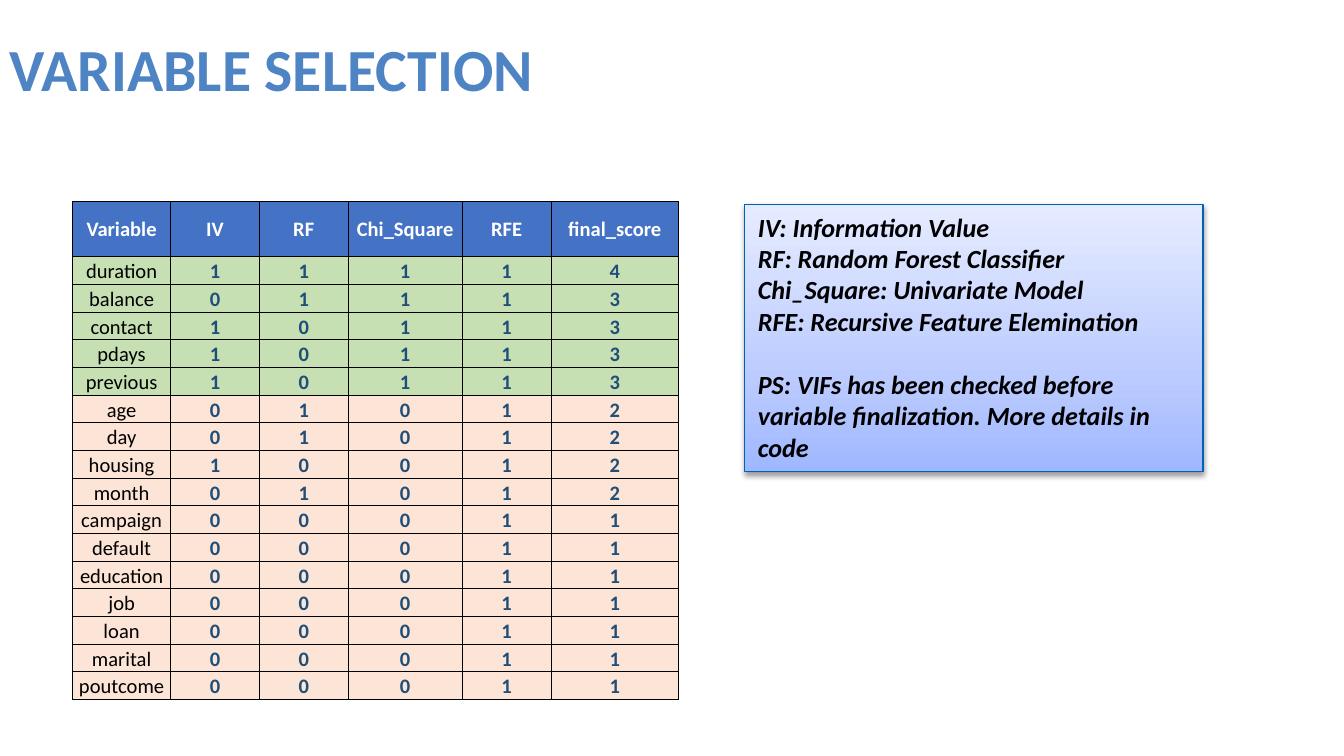
from typing import NamedTuple

from lxml.etree import SubElement
from pptx import Presentation
from pptx.dml.color import RGBColor
from pptx.enum.shapes import MSO_SHAPE
from pptx.enum.text import MSO_ANCHOR, PP_ALIGN
from pptx.oxml import parse_xml
from pptx.oxml.ns import nsdecls, qn
from pptx.util import Inches, Pt

FONT = "Calibri"
BLACK, WHITE, NAVY = "000000", "FFFFFF", "1F4E78"
HEADER_BLUE, SELECTED_GREEN, REJECTED_PEACH = "4472C4", "C6E0B4", "FCE4D6"
SELECTION_SCORE = 3


class Variable(NamedTuple):
    name: str
    iv: int
    rf: int
    chi_square: int
    rfe: int

    @property
    def score(self) -> int:
        return sum(self[1:])


HEADINGS = ["Variable", "IV", "RF", "Chi_Square", "RFE", "final_score"]
COLUMN_WIDTHS = [0.73, 0.66, 0.66, 0.85, 0.66, 0.95]
HEADER_HEIGHT, TABLE_HEIGHT = 0.41, 3.71
VARIABLES = [
    Variable("duration", 1, 1, 1, 1),
    Variable("balance", 0, 1, 1, 1),
    Variable("contact", 1, 0, 1, 1),
    Variable("pdays", 1, 0, 1, 1),
    Variable("previous", 1, 0, 1, 1),
    Variable("age", 0, 1, 0, 1),
    Variable("day", 0, 1, 0, 1),
    Variable("housing", 1, 0, 0, 1),
    Variable("month", 0, 1, 0, 1),
    Variable("campaign", 0, 0, 0, 1),
    Variable("default", 0, 0, 0, 1),
    Variable("education", 0, 0, 0, 1),
    Variable("job", 0, 0, 0, 1),
    Variable("loan", 0, 0, 0, 1),
    Variable("marital", 0, 0, 0, 1),
    Variable("poutcome", 0, 0, 0, 1),
]
NOTES = [
    "IV: Information Value",
    "RF: Random Forest Classifier",
    "Chi_Square: Univariate Model",
    "RFE: Recursive Feature Elemination",
    "PS: VIFs has been checked before variable finalization. More details in code",
]
GRADIENT = [(0, "9FB7FF"), (35, "BBCBFF"), (100, "E5EBFF")]


def rgb(color: str) -> RGBColor:
    return RGBColor.from_string(color)


def style(p, size: float, color: str, bold: bool = True, italic: bool = False) -> None:
    font = p.font
    font.name, font.size = FONT, Pt(size)
    font.bold, font.italic = bold, italic
    font.color.rgb = rgb(color)


def add_borders(cell) -> None:
    tcPr = cell._tc.get_or_add_tcPr()
    for side in ("lnL", "lnR", "lnT", "lnB"):
        ln = SubElement(tcPr, qn(f"a:{side}"), w=str(Pt(0.5)))
        fill = SubElement(ln, qn("a:solidFill"))
        SubElement(fill, qn("a:srgbClr"), val=BLACK)


def fill_cell(cell, text: str, fill: str, color: str, bold: bool, anchor) -> None:
    cell.margin_left = cell.margin_right = cell.margin_top = Inches(0.01)
    cell.margin_bottom = 0
    cell.vertical_anchor = anchor
    add_borders(cell)
    cell.fill.solid()
    cell.fill.fore_color.rgb = rgb(fill)
    p = cell.text_frame.paragraphs[0]
    p.text, p.alignment = text, PP_ALIGN.CENTER
    style(p, 11, color, bold)


def add_title(s) -> None:
    sp = s.shapes.title
    sp.left, sp.top, sp.width, sp.height = map(Inches, (0, 0.24, 9.72, 0.53))
    tf = sp.text_frame
    tf.margin_left = tf.margin_right = Inches(0.07)
    tf.margin_top = tf.margin_bottom = Inches(0.04)
    tf.vertical_anchor = MSO_ANCHOR.MIDDLE
    p = tf.paragraphs[0]
    p.text, p.alignment = "VARIABLE SELECTION", PP_ALIGN.LEFT
    style(p, 32, "4E84C4")


def add_score_table(s) -> None:
    frame = s.shapes.add_table(
        len(VARIABLES) + 1, len(HEADINGS), Inches(0.54), Inches(1.5),
        Inches(sum(COLUMN_WIDTHS)), Inches(TABLE_HEIGHT))
    table = frame.table
    table.horz_banding = False
    for column, width in zip(table.columns, COLUMN_WIDTHS):
        column.width = Inches(width)
    row_height = (TABLE_HEIGHT - HEADER_HEIGHT) / len(VARIABLES)
    for i, row in enumerate(table.rows):
        row.height = Inches(row_height if i else HEADER_HEIGHT)

    for col, heading in enumerate(HEADINGS):
        fill_cell(table.cell(0, col), heading, HEADER_BLUE, WHITE, True, MSO_ANCHOR.MIDDLE)
    for row, variable in enumerate(VARIABLES, start=1):
        fill = SELECTED_GREEN if variable.score >= SELECTION_SCORE else REJECTED_PEACH
        for col, value in enumerate((*variable, variable.score)):
            fill_cell(table.cell(row, col), str(value), fill,
                      NAVY if col else BLACK, col > 0, MSO_ANCHOR.BOTTOM)


def add_notes_box(s) -> None:
    sp = s.shapes.add_shape(MSO_SHAPE.RECTANGLE, Inches(5.54), Inches(1.52),
                            Inches(3.41), Inches(1.99))
    sp.line.color.rgb = rgb("0061BA")
    sp.line.width = Pt(0.75)

    # Gradient runs upwards, from dark to light
    stops = "".join(f'<a:gs pos="{pos * 1000}"><a:srgbClr val="{color}"/></a:gs>'
                    for pos, color in GRADIENT)
    sp._element.spPr.find(qn("a:prstGeom")).addnext(parse_xml(
        f'<a:gradFill {nsdecls("a")} rotWithShape="1"><a:gsLst>{stops}</a:gsLst>'
        '<a:lin ang="16200000" scaled="0"/></a:gradFill>'))

    # Soft shadow below
    sp.shadow.inherit = False
    sp._element.spPr.find(qn("a:effectLst")).append(parse_xml(
        f'<a:outerShdw {nsdecls("a")} blurRad="{Pt(3.1)}" dist="{Pt(1.6)}" '
        f'dir="5400000" rotWithShape="0"><a:srgbClr val="{BLACK}">'
        '<a:alpha val="38000"/></a:srgbClr></a:outerShdw>'))

    tf = sp.text_frame
    tf.word_wrap = True
    tf.vertical_anchor = MSO_ANCHOR.TOP
    for i, note in enumerate(NOTES):
        p = tf.add_paragraph() if i else tf.paragraphs[0]
        p.text, p.alignment = note, PP_ALIGN.LEFT
        style(p, 14, BLACK, italic=True)
    p.space_before = Pt(17)  # sets the closing remark apart


def main() -> None:
    prs = Presentation()
    prs.slide_width = Inches(10)
    prs.slide_height = prs.slide_width * 9 // 16  # widescreen
    s = prs.slides.add_slide(prs.slide_layouts[5])
    add_title(s)
    add_score_table(s)
    add_notes_box(s)
    prs.save("out.pptx")


if __name__ == "__main__":
    main()
